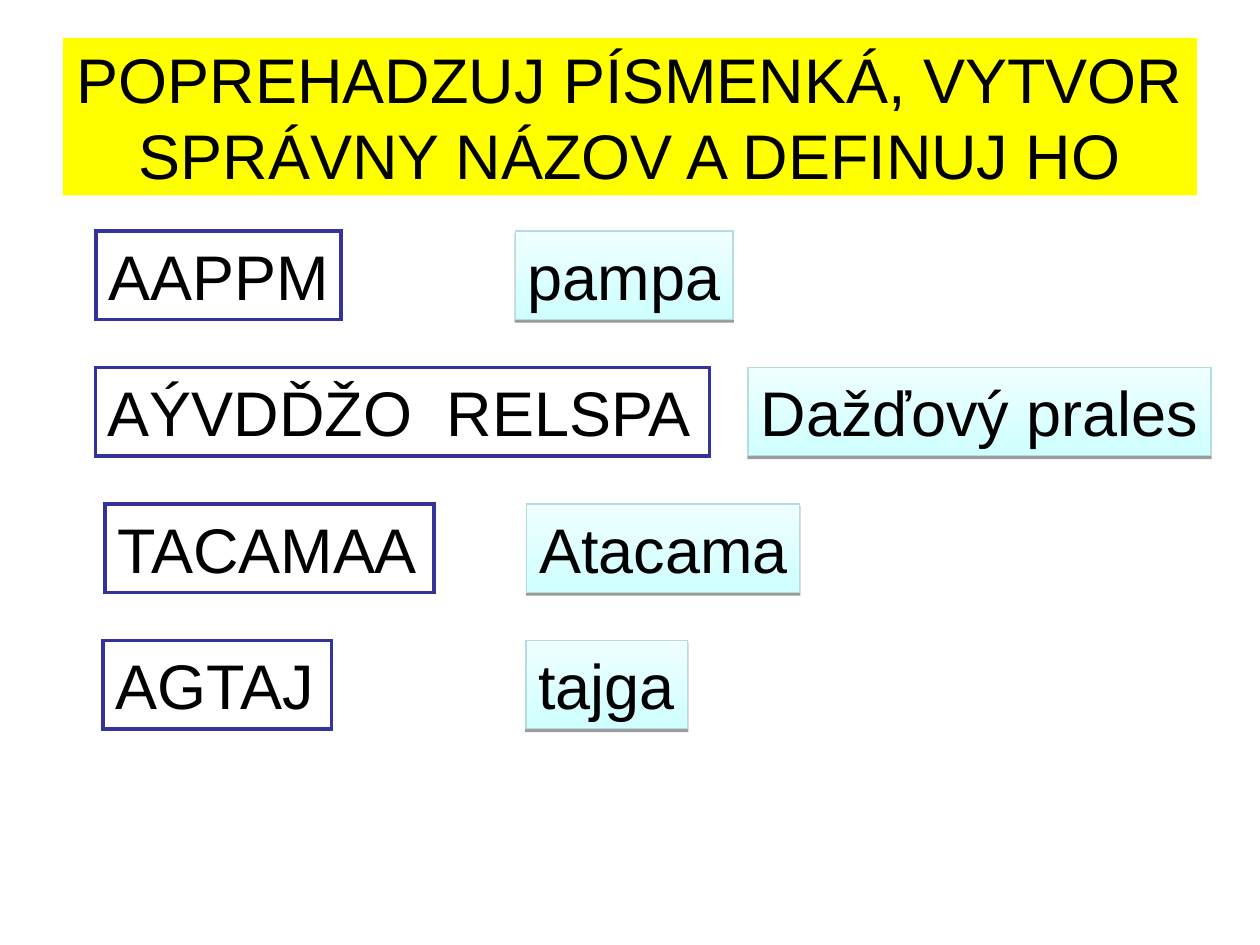
from lxml.etree import SubElement
from pptx import Presentation
from pptx.dml.color import RGBColor
from pptx.enum.shapes import MSO_SHAPE as Shape
from pptx.enum.text import MSO_ANCHOR as Anchor, MSO_AUTO_SIZE as AutoSize, PP_ALIGN as Align
from pptx.oxml.ns import qn
from pptx.util import Pt

TITLE = "POPREHADZUJ PÍSMENKÁ, VYTVOR SPRÁVNY NÁZOV A DEFINUJ HO"

# Each row: (scrambled word, left, width), (answer, left, width)
ROWS = [
    (("AAPPM", 55, 140), ("pampa", 294.5, 124.5)),
    (("AÝVDĎŽO  RELSPA", 54.5, 351), ("Dažďový prales", 427.5, 264.5)),
    (("TACAMAA", 60, 188), ("Atacama", 301, 156)),
    (("AGTAJ", 59, 130.5), ("tajga", 300.5, 92.5)),
]
TITLE_BOX = (36, 21.6, 648, 90)
FIRST_ROW, ROW_PITCH, BOX_HEIGHT = 132, 78, 50.5

THEME = {
    "font": {"name": "Arial", "size": Pt(36)},
    "text": "000000",
    "title_fill": "FFFF00",
    "puzzle": {"fill": "FFFFFF", "line": "333399", "weight": 2},
    "answer": {"gradient": ("CFFFFF", "F0FFFF"), "line": "B6DCDF", "weight": 0.75},
    "shadow": {"color": "000000", "alpha": 38, "distance": 1.6, "angle": 90},
}
TITLE_FORMAT = {"word_wrap": True, "vertical_anchor": Anchor.MIDDLE}
# The free right margin keeps each word on one line
WORD_FORMAT = {"word_wrap": True, "auto_size": AutoSize.NONE,
               "vertical_anchor": Anchor.TOP, "margin_right": 0}


def color(name):
    return RGBColor.from_string(name)


def add_box(slide, text, box, align, frame_format):
    shape = slide.shapes.add_shape(Shape.RECTANGLE, *map(Pt, box))
    shape.shadow.inherit = False
    frame = shape.text_frame
    for name, value in frame_format.items():
        setattr(frame, name, value)
    paragraph = frame.paragraphs[0]
    paragraph.text, paragraph.alignment = text, align
    for name, value in THEME["font"].items():
        setattr(paragraph.font, name, value)
    paragraph.font.color.rgb = color(THEME["text"])
    return shape


def fill_solid(shape, name):
    shape.fill.solid()
    shape.fill.fore_color.rgb = color(name)


def add_shadow(shape):
    style = THEME["shadow"]
    effects = shape._element.spPr.find(qn("a:effectLst"))
    shadow = SubElement(effects, qn("a:outerShdw"), blurRad="0",
                        dist=str(Pt(style["distance"])), dir=str(style["angle"] * 60000),
                        rotWithShape="0")
    tint = SubElement(shadow, qn("a:srgbClr"), val=style["color"])
    SubElement(tint, qn("a:alpha"), val=str(style["alpha"] * 1000))


def add_word(slide, word, top, style):
    text, left, width = word
    shape = add_box(slide, text, (left, top, width, BOX_HEIGHT), Align.LEFT, WORD_FORMAT)
    shape.line.color.rgb = color(style["line"])
    shape.line.width = Pt(style["weight"])
    # Square corners on the outline
    SubElement(shape._element.spPr.find(qn("a:ln")), qn("a:miter"), lim="800000")
    if "gradient" in style:
        shape.fill.gradient()
        shape.fill.gradient_angle = 90
        for stop, name in zip(shape.fill.gradient_stops, style["gradient"]):
            stop.color.rgb = color(name)
        add_shadow(shape)
    else:
        fill_solid(shape, style["fill"])


def main():
    presentation = Presentation()
    presentation.slide_width, presentation.slide_height = Pt(720), Pt(540)
    slide = presentation.slides.add_slide(presentation.slide_layouts[6])

    # Title band
    title = add_box(slide, TITLE, TITLE_BOX, Align.CENTER, TITLE_FORMAT)
    fill_solid(title, THEME["title_fill"])
    title.line.fill.background()

    # Scrambled words and their answers
    for index, (puzzle, answer) in enumerate(ROWS):
        top = FIRST_ROW + index * ROW_PITCH
        add_word(slide, puzzle, top, THEME["puzzle"])
        add_word(slide, answer, top, THEME["answer"])

    presentation.save("out.pptx")


if __name__ == "__main__":
    main()
